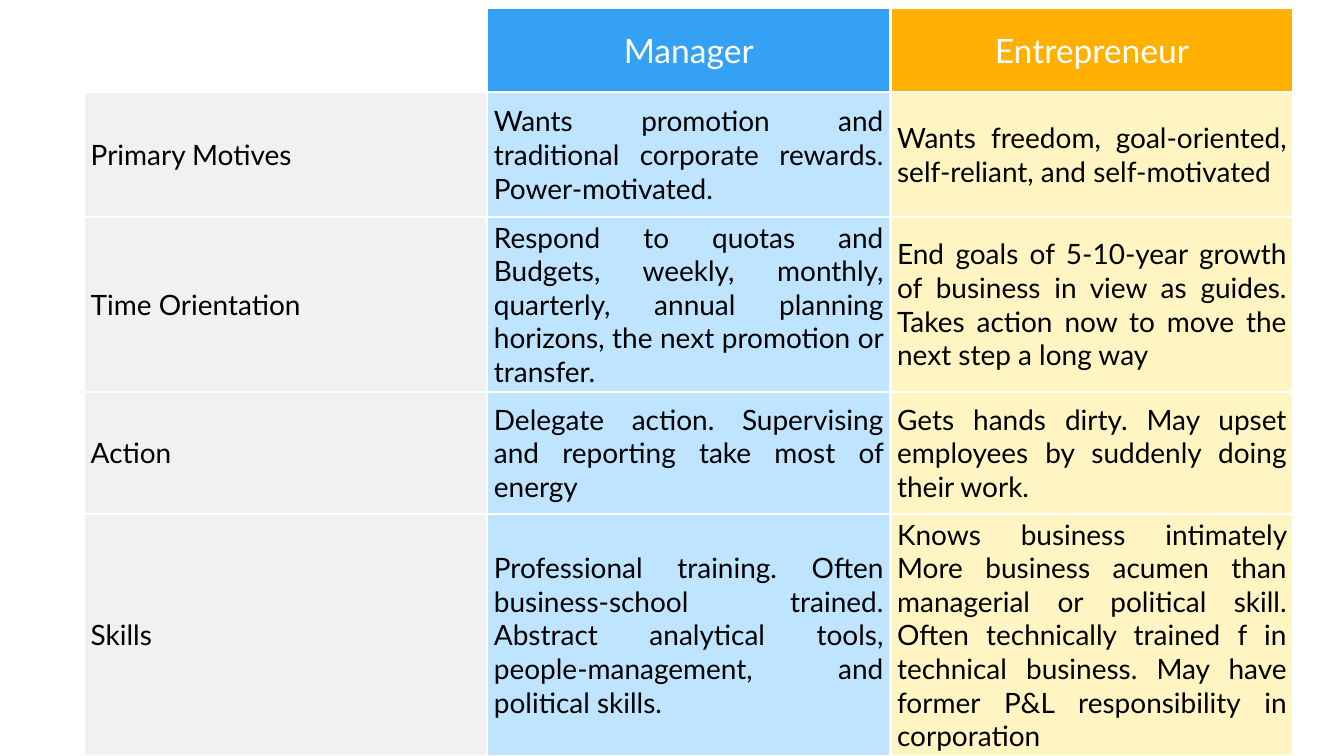
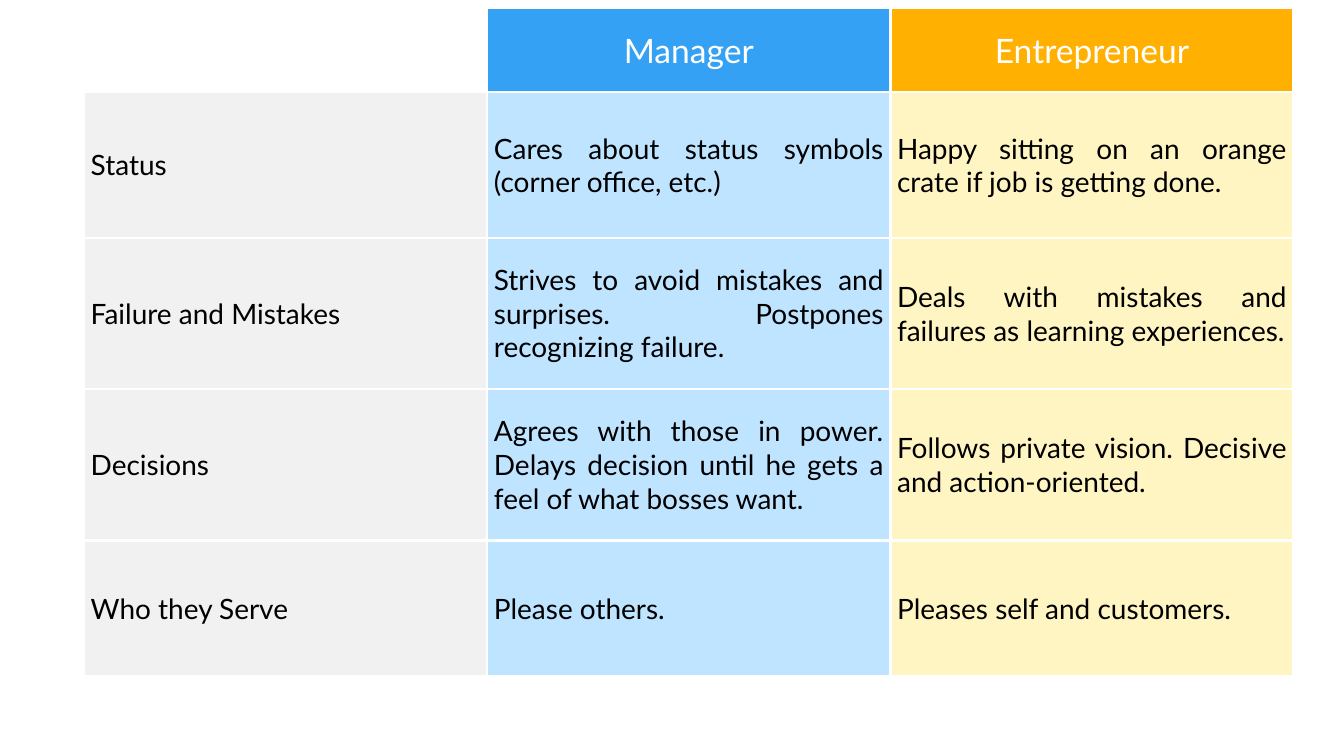
import pptx
import pptx.dml.color
import pptx.enum.text
import pptx.oxml
import pptx.oxml.ns
import pptx.util

Inches = pptx.util.Inches
Align = pptx.enum.text.PP_ALIGN

FONT = "Lato"
WHITE, BLACK = "FFFFFF", "000000"
HEADS = ("", "Manager", "Entrepreneur")
HEAD_FILLS = (None, "35A1F4", "FFB001")
BODY_FILLS = ("F1F1F1", "BFE4FF", "FFF5C3")
LEFT, TOP, COL_WIDTH, HEAD_HEIGHT = 1.25, 0.12, 6, 1.25

# Each slide is a list of rows: height, topic, manager, entrepreneur
SLIDES = [
    [
        (1.86, "Primary Motives",
         "Wants promotion and traditional corporate rewards. Power-motivated.",
         "Wants freedom, goal-oriented, self-reliant, and self-motivated"),
        (2.02, "Time Orientation",
         "Respond to quotas and Budgets, weekly, monthly, quarterly, annual "
         "planning horizons, the next promotion or transfer.",
         "End goals of 5-10-year growth of business in view as guides. "
         "Takes action now to move the next step a long way"),
        (1.82, "Action",
         "Delegate action. Supervising and reporting take most of energy",
         "Gets hands dirty. May upset employees by suddenly doing their work."),
        (2.02, "Skills",
         "Professional training. Often business-school trained. Abstract "
         "analytical tools, people-management, and political skills.",
         "Knows business intimately More business acumen than managerial or "
         "political skill. Often technically trained f in technical business. "
         "May have former P&L responsibility in corporation"),
    ],
    [
        (2.17, "Status",
         "Cares about status symbols (corner office, etc.)",
         "Happy sitting on an orange crate if job is getting done."),
        (2.25, "Failure and Mistakes",
         "Strives to avoid mistakes and surprises. Postpones recognizing failure.",
         "Deals with mistakes and failures as learning experiences."),
        (2.25, "Decisions",
         "Agrees with those in power. Delays decision until he gets a feel of "
         "what bosses want.",
         "Follows private vision. Decisive and action-oriented."),
        (2.02, "Who they Serve", "Please others.", "Pleases self and customers."),
    ],
]


def color(code):
    return pptx.dml.color.RGBColor.from_string(code)


def add_borders(cell):
    props = cell._tc.get_or_add_tcPr()
    for i, side in enumerate("LRTB"):
        line = pptx.oxml.parse_xml(
            f'<a:ln{side} {pptx.oxml.ns.nsdecls("a")} w="{pptx.util.Pt(3)}">'
            f'<a:solidFill><a:srgbClr val="{WHITE}"/></a:solidFill></a:ln{side}>')
        props.insert(i, line)


def style_cell(cell, text, fill, size, ink, align):
    if fill:
        cell.fill.solid()
        cell.fill.fore_color.rgb = color(fill)
    else:
        cell.fill.background()
    add_borders(cell)
    cell.vertical_anchor = pptx.enum.text.MSO_ANCHOR.MIDDLE
    cell.text = text
    para = cell.text_frame.paragraphs[0]
    para.alignment = align
    para.font.name = FONT
    para.font.size = pptx.util.Pt(size)
    para.font.color.rgb = color(ink)


def add_matrix(slide, rows):
    rows = [(HEAD_HEIGHT, *HEADS), *rows]
    total = sum(row[0] for row in rows)
    table = slide.shapes.add_table(
        len(rows), len(HEADS), Inches(LEFT), Inches(TOP),
        Inches(COL_WIDTH * len(HEADS)), Inches(total)).table
    for r, (height, *texts) in enumerate(rows):
        table.rows[r].height = Inches(height)
        if r == 0:
            fills, look = HEAD_FILLS, (36, WHITE, Align.CENTER)
        else:
            fills, look = BODY_FILLS, (30, BLACK, Align.JUSTIFY)
        for c, (text, fill) in enumerate(zip(texts, fills)):
            style_cell(table.cell(r, c), text, fill, *look)


def main():
    deck = pptx.Presentation()
    deck.slide_width, deck.slide_height = Inches(20), Inches(11.25)
    for rows in SLIDES:
        add_matrix(deck.slides.add_slide(deck.slide_layouts[6]), rows)
    deck.save("out.pptx")


if __name__ == "__main__":
    main()
